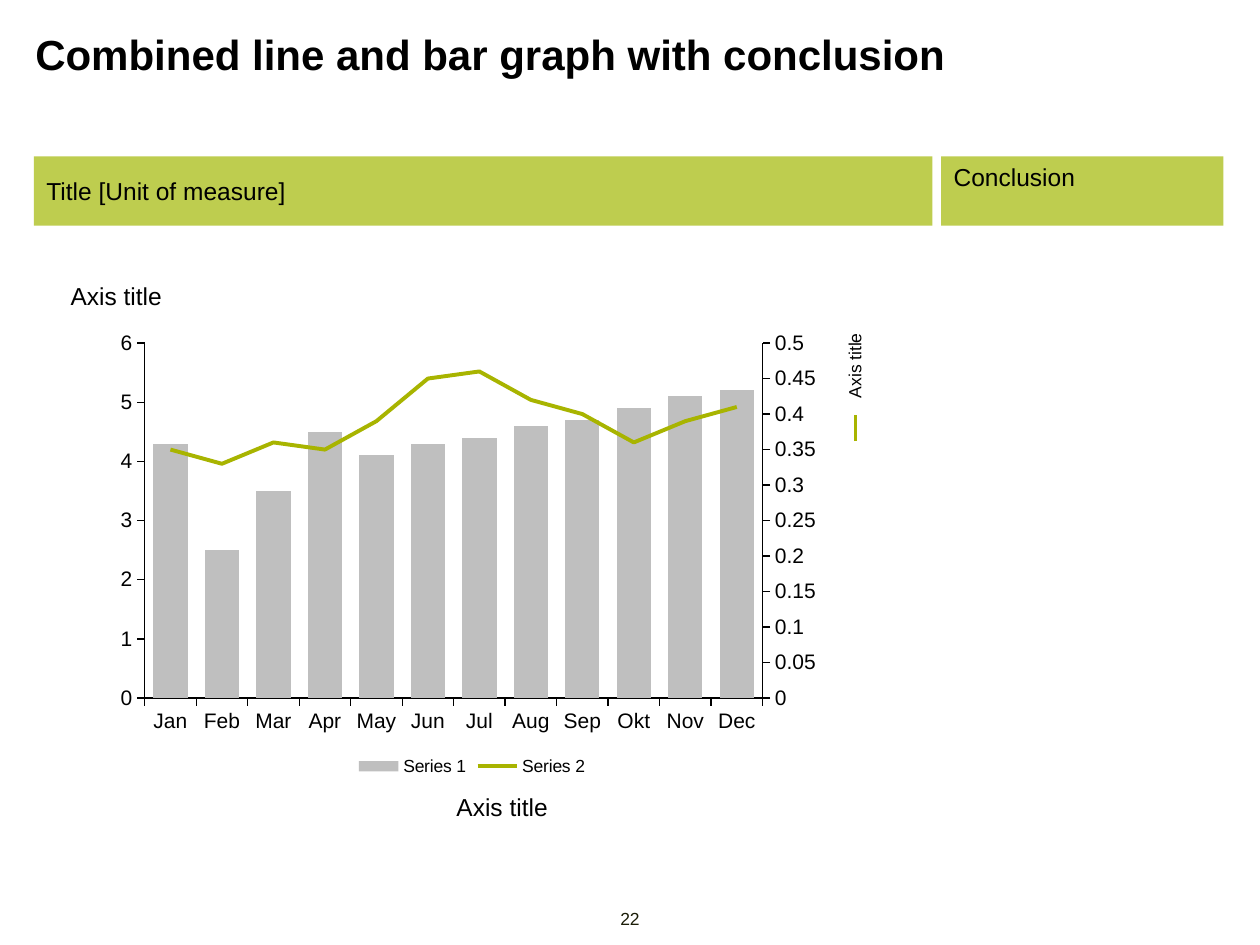
"""Build a slide with a combined column and line chart and a conclusion."""
from copy import deepcopy

from lxml import etree
from pptx import Presentation
from pptx.chart.data import CategoryChartData
from pptx.dml.color import RGBColor
from pptx.enum.chart import (XL_CHART_TYPE, XL_LEGEND_POSITION, XL_MARKER_STYLE,
                             XL_TICK_MARK)
from pptx.enum.shapes import MSO_CONNECTOR, MSO_SHAPE
from pptx.enum.text import MSO_ANCHOR, PP_ALIGN
from pptx.oxml import parse_xml
from pptx.oxml.ns import qn
from pptx.util import Inches, Pt

LEFT, CENTER, RIGHT = PP_ALIGN.LEFT, PP_ALIGN.CENTER, PP_ALIGN.RIGHT
TOP, MIDDLE, BOTTOM = MSO_ANCHOR.TOP, MSO_ANCHOR.MIDDLE, MSO_ANCHOR.BOTTOM
CHART_NS = "http://schemas.openxmlformats.org/drawingml/2006/chart"

FONT = "Arial"
BLACK, BANNER, GREY, GREEN = "000000", "BECD4F", "BFBFBF", "A8B400"

TITLE = "Combined line and bar graph with conclusion"
MONTHS = ["Jan", "Feb", "Mar", "Apr", "May", "Jun",
          "Jul", "Aug", "Sep", "Okt", "Nov", "Dec"]
SERIES = [
    ("Series 1", [4.3, 2.5, 3.5, 4.5, 4.1, 4.3, 4.4, 4.6, 4.7, 4.9, 5.1, 5.2]),
    ("Series 2", [0.35, 0.33, 0.36, 0.35, 0.39, 0.45,
                  0.46, 0.42, 0.4, 0.36, 0.39, 0.41]),
]
LEFT_SCALE, RIGHT_SCALE = (6, 1), (0.5, 0.05)
PLOT_AREA = {"x": 0.05, "y": 0.05, "w": 0.85, "h": 0.77}
BANNERS = [
    ("Title [Unit of measure]", (0.27, 1.24, 7.13, 0.55), MIDDLE, 0.02),
    ("Conclusion", (7.47, 1.24, 2.24, 0.55), TOP, 0.05),
]
LABELS = [
    ("Axis title", (0.56, 2.22, 2.29, 0.24), 14, LEFT, 0, BLACK),
    ("Axis title", (1.54, 6.28, 4.89, 0.24), 14, CENTER, 0, BLACK),
    ("Axis title", (5.54, 3.8, 2.48, 0.17), 10, RIGHT, 270, BLACK),
    ("22", (4.85, 7.2, 0.3, 0.17), 10, CENTER, 0, "1B1D08"),
]


def color(hex_string):
    return RGBColor.from_string(hex_string)


def box(values):
    return [Inches(value) for value in values]


def write(shape, text, size, align=LEFT, anchor=TOP, bold=False,
          ink=BLACK, margins=(0, 0)):
    frame = shape.text_frame
    frame.word_wrap = True
    frame.vertical_anchor = anchor
    frame.margin_left = frame.margin_right = Inches(margins[0])
    frame.margin_top = frame.margin_bottom = Inches(margins[1])
    frame.text = text
    paragraph = frame.paragraphs[0]
    paragraph.alignment = align
    font = paragraph.font
    font.name, font.size, font.bold = FONT, Pt(size), bold
    font.color.rgb = color(ink)


def style_line(line, ink, width):
    line.color.rgb = color(ink)
    line.width = Pt(width)


def set_value(parent, tag, value):
    parent.find(".//" + qn(tag)).set("val", str(value))


def add_secondary_line(chart):
    plot_area = chart._chartSpace.chart.plotArea
    bar_plot = plot_area.find(qn("c:barChart"))
    line_series = bar_plot.findall(qn("c:ser"))[-1]
    for flag in line_series.findall(qn("c:invertIfNegative")):
        line_series.remove(flag)
    line_plot = parse_xml(
        f'<c:lineChart xmlns:c="{CHART_NS}"><c:grouping val="standard"/>'
        '<c:varyColors val="0"/><c:marker val="1"/>'
        '<c:axId val="5001"/><c:axId val="5002"/></c:lineChart>')
    line_plot.insert(2, line_series)
    bar_plot.addnext(line_plot)

    category_axis = plot_area.find(qn("c:catAx"))
    value_axis = plot_area.find(qn("c:valAx"))
    right_axis, hidden_axis = deepcopy(value_axis), deepcopy(category_axis)
    for axis, own, other in ((hidden_axis, 5001, 5002), (right_axis, 5002, 5001)):
        set_value(axis, "c:axId", own)
        set_value(axis, "c:crossAx", other)
    set_value(hidden_axis, "c:delete", 1)
    set_value(right_axis, "c:axPos", "r")
    set_value(right_axis, "c:crosses", "max")
    set_value(right_axis, "c:max", RIGHT_SCALE[0])
    set_value(right_axis, "c:majorUnit", RIGHT_SCALE[1])
    value_axis.addnext(right_axis)
    right_axis.addnext(hidden_axis)


def place_plot(chart):
    plot_area = chart._chartSpace.chart.plotArea
    for layout in plot_area.findall(qn("c:layout")):
        plot_area.remove(layout)
    modes = "".join(f'<c:{key}Mode val="edge"/>' for key in "xy")
    sizes = "".join(f'<c:{key} val="{value}"/>' for key, value in PLOT_AREA.items())
    plot_area.insert(0, parse_xml(
        f'<c:layout xmlns:c="{CHART_NS}"><c:manualLayout>'
        f'<c:layoutTarget val="inner"/>{modes}{sizes}</c:manualLayout></c:layout>'))


def add_combined_chart(slide):
    data = CategoryChartData()
    data.categories = MONTHS
    for name, values in SERIES:
        data.add_series(name, values)
    chart = slide.shapes.add_chart(XL_CHART_TYPE.COLUMN_CLUSTERED,
                                   *box((0.86, 2.54, 5.77, 3.66)), data).chart
    chart.has_title = False
    chart.font.name, chart.font.size = FONT, Pt(12)
    chart.font.color.rgb = color(BLACK)
    for axis in (chart.category_axis, chart.value_axis):
        axis.has_major_gridlines = False
        axis.major_tick_mark = XL_TICK_MARK.OUTSIDE
        axis.minor_tick_mark = XL_TICK_MARK.NONE
        style_line(axis.format.line, BLACK, 0.75)
    value_axis = chart.value_axis
    value_axis.minimum_scale = 0
    value_axis.maximum_scale, value_axis.major_unit = LEFT_SCALE
    value_axis.tick_labels.number_format = "General"
    value_axis.tick_labels.number_format_is_linked = False

    add_secondary_line(chart)
    place_plot(chart)
    bars, lines = chart.plots
    bars.gap_width = 50
    bars.vary_by_categories = False
    bar_fill = bars.series[0].format.fill
    bar_fill.solid()
    bar_fill.fore_color.rgb = color(GREY)
    line = lines.series[0]
    line.smooth = False
    line.marker.style = XL_MARKER_STYLE.NONE
    style_line(line.format.line, GREEN, 2.25)

    chart.has_legend = True
    chart.legend.position = XL_LEGEND_POSITION.BOTTOM
    chart.legend.include_in_layout = False
    chart.legend.font.size = Pt(10)


presentation = Presentation()
presentation.slide_width, presentation.slide_height = Inches(10), Inches(7.5)
slide = presentation.slides.add_slide(presentation.slide_layouts[5])

title = slide.shapes.title
title.left, title.top, title.width, title.height = box((0.28, 0.23, 9.44, 0.4))
write(title, TITLE, 24, bold=True)

for text, place, anchor, margin in BANNERS:
    banner = slide.shapes.add_shape(MSO_SHAPE.RECTANGLE, *box(place))
    banner.shadow.inherit = False
    banner.fill.solid()
    banner.fill.fore_color.rgb = color(BANNER)
    banner.line.fill.background()
    write(banner, text, 14, anchor=anchor, margins=(0.1, margin))

add_combined_chart(slide)

for text, place, size, align, rotation, ink in LABELS:
    label = slide.shapes.add_textbox(*box(place))
    label.rotation = rotation
    write(label, text, size, align, BOTTOM, ink=ink)

axis_key = slide.shapes.add_connector(MSO_CONNECTOR.STRAIGHT,
                                      *box((6.79, 3.5, 6.79, 3.29)))
style_line(axis_key.line, GREEN, 2.25)
etree.SubElement(axis_key._element.spPr, qn("a:effectLst"))

presentation.save("out.pptx")
